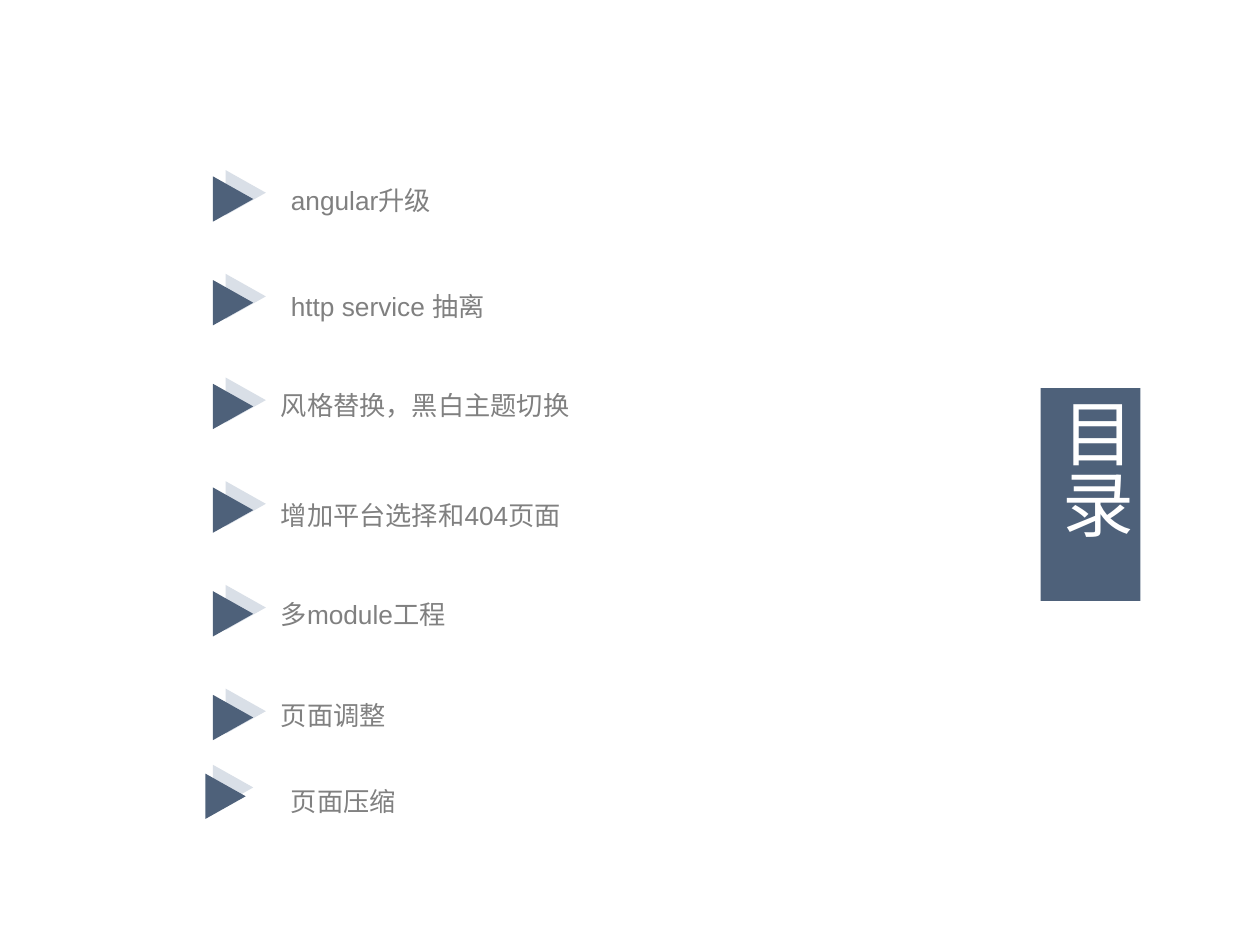
"""Build a contents slide: seven arrow-marked topics and an upright title."""
from dataclasses import dataclass

import pptx
import pptx.dml.color
import pptx.enum.shapes
import pptx.enum.text
import pptx.util

COLS, ROWS = 100, 75
CELL = pptx.util.Inches(0.1)
NAVY, PALE, GRAY, WHITE = "4E617A", "D9DFE7", "808080", "FFFFFF"
FIRST, PITCH = 13.7, 8.23


@dataclass
class Topic:
    """A topic's text and place, with its arrow's place and front offset."""
    text: str
    col: float
    row: float
    mark: tuple[float, float]
    shift: tuple[float, float] = (-1, 0.5)


def step(count: int) -> tuple[float, float]:
    """Return the place of an arrow in the even run."""
    return 17.7, FIRST + count * PITCH


TOPICS = [
    Topic("angular升级", 22.1, 13.7, step(0)),
    Topic("http service 抽离", 22.1, 22.1, step(1)),
    Topic("风格替换，黑白主题切换", 21.3, 30, step(2)),
    Topic("增加平台选择和404页面", 21.3, 38.7, step(3)),
    Topic("多module工程", 21.3, 46.6, step(4)),
    Topic("页面调整", 21.3, 54.6, step(5)),
    Topic("页面压缩", 22.1, 61.4, (16.7, 60.9), (-0.6, 0.7)),
]


def grid(*cells: float) -> list[int]:
    """Turn grid cells into lengths."""
    return [round(cell * CELL) for cell in cells]


def color(code: str) -> pptx.dml.color.RGBColor:
    """Turn a hex string into a colour."""
    return pptx.dml.color.RGBColor.from_string(code)


def paint(shape, code: str) -> None:
    """Fill a shape and leave off its line."""
    shape.fill.solid()
    shape.fill.fore_color.rgb = color(code)
    shape.line.fill.background()


def write(frame, text: str, size: float, code: str):
    """Add one run to a frame and return its paragraph."""
    para = frame.paragraphs[0]
    run = para.add_run()
    run.text = text
    run.font.name = "Arial"
    run.font.size = pptx.util.Pt(size)
    run.font.color.rgb = color(code)
    return para


def inset(frame, side: float, end: float) -> None:
    """Set the margins of a frame in grid cells."""
    frame.margin_left = frame.margin_right = grid(side)[0]
    frame.margin_top = frame.margin_bottom = grid(end)[0]


def draw_head(slide) -> None:
    """Form the title into a filled upright block."""
    head = slide.shapes.title
    head.left, head.top, head.width, head.height = grid(82.6, 30.8, 7.9, 16.9)
    paint(head, NAVY)
    frame = head.text_frame
    frame.auto_size = pptx.enum.text.MSO_AUTO_SIZE.NONE
    frame.vertical_anchor = pptx.enum.text.MSO_ANCHOR.MIDDLE
    inset(frame, 0.4, 0.7)
    frame._txBody.bodyPr.set("vert", "eaVert")
    para = write(frame, "目录", 41, WHITE)
    para.alignment = pptx.enum.text.PP_ALIGN.CENTER
    para.line_spacing = 0.9


def draw_mark(slide, col: float, row: float, code: str) -> None:
    """Draw one triangle that points right."""
    kind = pptx.enum.shapes.MSO_SHAPE.ISOSCELES_TRIANGLE
    mark = slide.shapes.add_shape(kind, *grid(col, row, 3.6, 3.2))
    mark.rotation = 90
    mark.shadow.inherit = False
    paint(mark, code)


def draw_topic(slide, topic: Topic) -> None:
    """Draw a topic's double arrow and its text."""
    col, row = topic.mark
    right, down = topic.shift
    draw_mark(slide, col, row, PALE)
    draw_mark(slide, col + right, row + down, NAVY)
    box = slide.shapes.add_textbox(*grid(topic.col, topic.row, 58.1, 3.9))
    frame = box.text_frame
    frame.word_wrap = True
    frame.vertical_anchor = pptx.enum.text.MSO_ANCHOR.BOTTOM
    inset(frame, 1, 0.5)
    write(frame, topic.text, 15, GRAY)


def main() -> None:
    """Build and save the deck."""
    deck = pptx.Presentation()
    deck.slide_width, deck.slide_height = grid(COLS, ROWS)
    slide = deck.slides.add_slide(deck.slide_layouts[5])
    draw_head(slide)
    for topic in TOPICS:
        draw_topic(slide, topic)
    deck.save("out.pptx")


if __name__ == "__main__":
    main()
